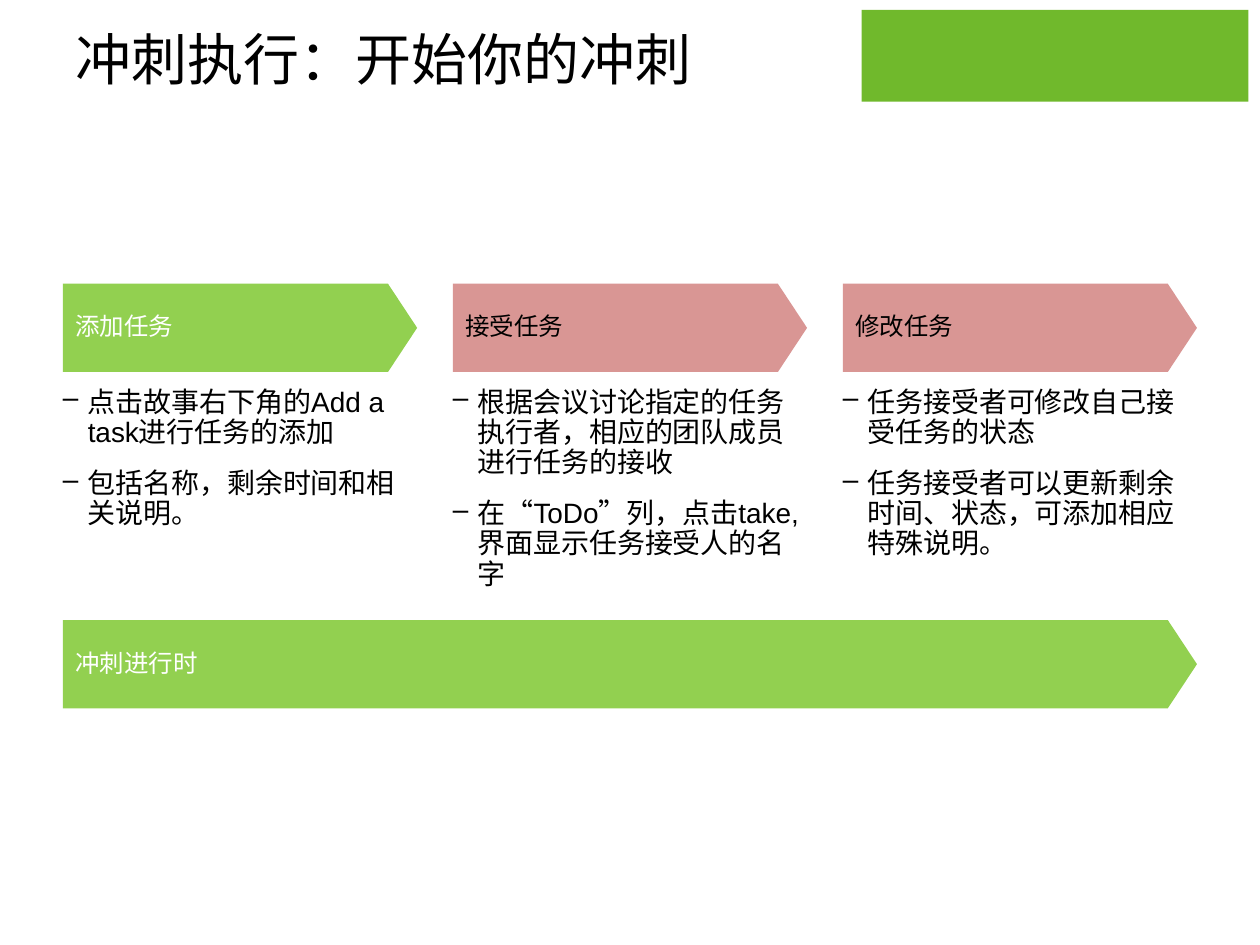
from lxml.etree import SubElement as Sub
from pptx import Presentation
from pptx.dml.color import RGBColor as Rgb
from pptx.enum.shapes import MSO_SHAPE as Kind
from pptx.enum.text import MSO_ANCHOR as Anchor, MSO_AUTO_SIZE as Auto, PP_ALIGN as Align
from pptx.oxml.ns import qn
from pptx.util import Cm, Pt

GREEN, ROSE, BLACK, WHITE = "92D050", "D99694", "000000", "FFFFFF"
LEFT, WIDTH, GAP = 1.27, 22.86, 0.72
TOP, ARROW, LIST = 5.72, 1.78, 4.01
STEPS = [
    ("添加任务", GREEN, WHITE,
     ["点击故事右下角的Add a task进行任务的添加",
      "包括名称，剩余时间和相关说明。"]),
    ("接受任务", ROSE, BLACK,
     ["根据会议讨论指定的任务执行者，相应的团队成员进行任务的接收",
      "在“ToDo”列，点击take,界面显示任务接受人的名字"]),
    ("修改任务", ROSE, BLACK,
     ["任务接受者可修改自己接受任务的状态",
      "任务接受者可以更新剩余时间、状态，可添加相应特殊说明。"]),
]


def paint(item, color):
    item.rgb = Rgb.from_string(color)


def style(para, face, size, color):
    para.alignment = Align.LEFT
    para.font.name, para.font.size = face, Pt(size)
    paint(para.font.color, color)


def block(slide, kind, box, fill):
    shape = slide.shapes.add_shape(kind, *map(Cm, box))
    shape.shadow.inherit = False
    shape.fill.solid()
    paint(shape.fill.fore_color, fill)
    shape.line.fill.background()
    return shape


def head(slide, text, box):
    title = slide.shapes.title
    title.left, title.top, title.width, title.height = map(Cm, box)
    frame = title.text_frame
    frame.text = text
    frame.auto_size = Auto.NONE
    frame.word_wrap = True
    frame.vertical_anchor = Anchor.MIDDLE
    style(frame.paragraphs[0], "Noto Sans CJK SC", 32, BLACK)


def arrow(slide, text, box, fill, color):
    shape = block(slide, Kind.PENTAGON, box, fill)
    shape.adjustments[0] = 0.33
    frame = shape.text_frame
    frame.text = text
    frame.vertical_anchor = Anchor.MIDDLE
    para = frame.paragraphs[0]
    para.line_spacing = 0.9
    style(para, "Calibri", 14, color)


def bullets(slide, items, box):
    frame = slide.shapes.add_textbox(*map(Cm, box)).text_frame
    frame.word_wrap = True
    frame.margin_left = frame.margin_top = frame.margin_right = frame.margin_bottom = 0
    for i, item in enumerate(items):
        para = frame.add_paragraph() if i else frame.paragraphs[0]
        para.text = item
        para.line_spacing = 0.9
        para.space_before = Pt(12 if i else 0)
        props = para._p.get_or_add_pPr()
        props.set("marL", str(Cm(0.5)))
        props.set("indent", str(-Cm(0.5)))
        Sub(props, qn("a:buChar"), char="–")
        style(para, "Arial", 16, BLACK)


def step(slide, data, box):
    name, fill, color, items = data
    left, top, width = box
    arrow(slide, name, (left, top, width, ARROW), fill, color)
    bullets(slide, items, (left, top + 2.1, width, LIST))


def flow(slide, box):
    left, top, width = box
    size = (width - GAP * (len(STEPS) - 1)) / len(STEPS)
    for i, data in enumerate(STEPS):
        step(slide, data, (left + i * (size + GAP), top, size))
    arrow(slide, "冲刺进行时", (left, top + 6.78, width, ARROW), GREEN, WHITE)


def main():
    deck = Presentation()
    deck.slide_width, deck.slide_height = Cm(25.4), Cm(19.05)
    slide = deck.slides.add_slide(deck.slide_layouts[5])
    block(slide, Kind.RECTANGLE, (17.37, 0.2, 7.8, 1.85), "70B92C")
    head(slide, "冲刺执行：开始你的冲刺", (LEFT, 0.46, 14.15, 1.42))
    flow(slide, (LEFT, TOP, WIDTH))
    deck.save("out.pptx")


if __name__ == "__main__":
    main()
